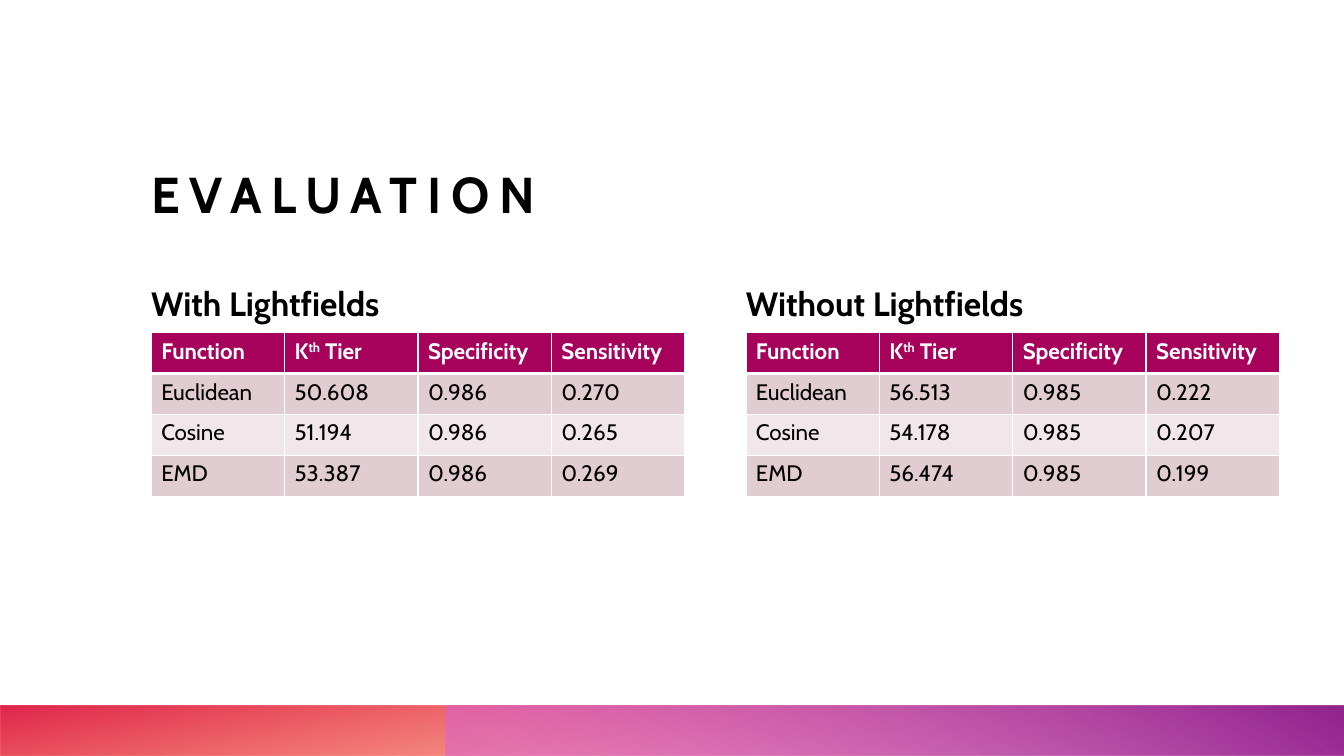
from lxml import etree
from pptx import Presentation
from pptx.dml.color import RGBColor
from pptx.enum import shapes, text
from pptx.oxml import ns
from pptx.util import Pt

HEADER = ("Function", ("K", "th", " Tier"), "Specificity", "Sensitivity")
WITH_LIGHTFIELDS = (
    ("Euclidean", "50.608", "0.986", "0.270"),
    ("Cosine", "51.194", "0.986", "0.265"),
    ("EMD", "53.387", "0.986", "0.269"),
)
WITHOUT_LIGHTFIELDS = (
    ("Euclidean", "56.513", "0.985", "0.222"),
    ("Cosine", "54.178", "0.985", "0.207"),
    ("EMD", "56.474", "0.985", "0.199"),
)
COLUMN_WIDTH = 95.3
ROW_HEIGHT = 29.2


def rgb(value):
    return RGBColor.from_string(value)


def write(paragraph, content, size=16, color="000000", bold=False, spacing=0):
    parts = (content,) if isinstance(content, str) else content
    for part in parts:
        run = paragraph.add_run()
        run.text = part
        run.font.name = "Cabin"
        run.font.size = Pt(size)
        run.font.bold = bold
        run.font.color.rgb = rgb(color)
        if spacing:
            run.font._element.set("spc", str(spacing * 100))
        if part == "th":
            run.font._element.set("baseline", "30000")


def add_heading(slide, content, left, top, width, height, line_spacing=1.0, **style):
    frame = slide.shapes.add_textbox(Pt(left), Pt(top), Pt(width), Pt(height)).text_frame
    frame.word_wrap = True
    frame.vertical_anchor = text.MSO_ANCHOR.BOTTOM
    frame.margin_left = frame.margin_right = frame.margin_top = frame.margin_bottom = 0
    frame.paragraphs[0].line_spacing = line_spacing
    write(frame.paragraphs[0], content, bold=True, **style)


def add_band(slide, left, width, stops, angle, rotation=0):
    band = slide.shapes.add_shape(
        shapes.MSO_SHAPE.RECTANGLE, Pt(left), Pt(504), Pt(width), Pt(36))
    band.shadow.inherit = False
    band.line.fill.background()
    band.rotation = rotation
    band._element.spPr.find(ns.qn("a:xfrm")).set("flipH", "1")
    band.fill.gradient()
    band.fill.gradient_angle = 360 - angle
    for stop, (position, color, opacity) in zip(band.fill.gradient_stops, stops):
        stop.position = position
        stop.color.rgb = rgb(color)
    tints = band._element.spPr.iter(ns.qn("a:srgbClr"))
    for tint, (position, color, opacity) in zip(tints, stops):
        etree.SubElement(tint, ns.qn("a:alpha"), val=str(opacity * 1000))


def add_borders(cell, bottom):
    properties = cell._tc.get_or_add_tcPr()
    for side, width in (("L", 1), ("R", 1), ("T", 1), ("B", bottom)):
        border = etree.SubElement(properties, ns.qn(f"a:ln{side}"), w=str(Pt(width)))
        fill = etree.SubElement(border, ns.qn("a:solidFill"))
        etree.SubElement(fill, ns.qn("a:srgbClr"), val="FFFFFF")


def add_results(slide, left, results):
    rows = (HEADER, *results)
    table = slide.shapes.add_table(
        len(rows), len(HEADER), Pt(left), Pt(237.6),
        Pt(COLUMN_WIDTH * len(HEADER)), Pt(ROW_HEIGHT * len(rows))).table
    for column in table.columns:
        column.width = Pt(COLUMN_WIDTH)
    for r, values in enumerate(rows):
        table.rows[r].height = Pt(ROW_HEIGHT)
        heading = r == 0
        background = "A6025C" if heading else ("F1E7EA", "E1CCD2")[r % 2]
        for c, value in enumerate(values):
            cell = table.cell(r, c)
            add_borders(cell, bottom=3 if heading else 1)
            cell.fill.solid()
            cell.fill.fore_color.rgb = rgb(background)
            write(cell.text_frame.paragraphs[0], value,
                  color="FFFFFF" if heading else "000000", bold=heading)


def main():
    deck = Presentation()
    deck.slide_width, deck.slide_height = Pt(960), Pt(540)
    slide = deck.slides.add_slide(deck.slide_layouts[6])
    add_band(slide, 0, 960, ((0.14, "FE4A00", 28), (1, "DA002F", 85)), 100, rotation=180)
    add_band(slide, 318, 642, ((0.09, "D861D4", 55), (0.99, "92248E", 100)), 240)
    add_heading(slide, "EVALUATION", 108, 62.6, 806.4, 97.2, size=36, spacing=7)
    for left, title, results in (
        (108, "With Lightfields", WITH_LIGHTFIELDS),
        (532.8, "Without Lightfields", WITHOUT_LIGHTFIELDS),
    ):
        add_heading(slide, title, left, 166.3, 381.2, 64.8, line_spacing=1.2, size=24)
        add_results(slide, left, results)
    deck.save("out.pptx")


if __name__ == "__main__":
    main()
